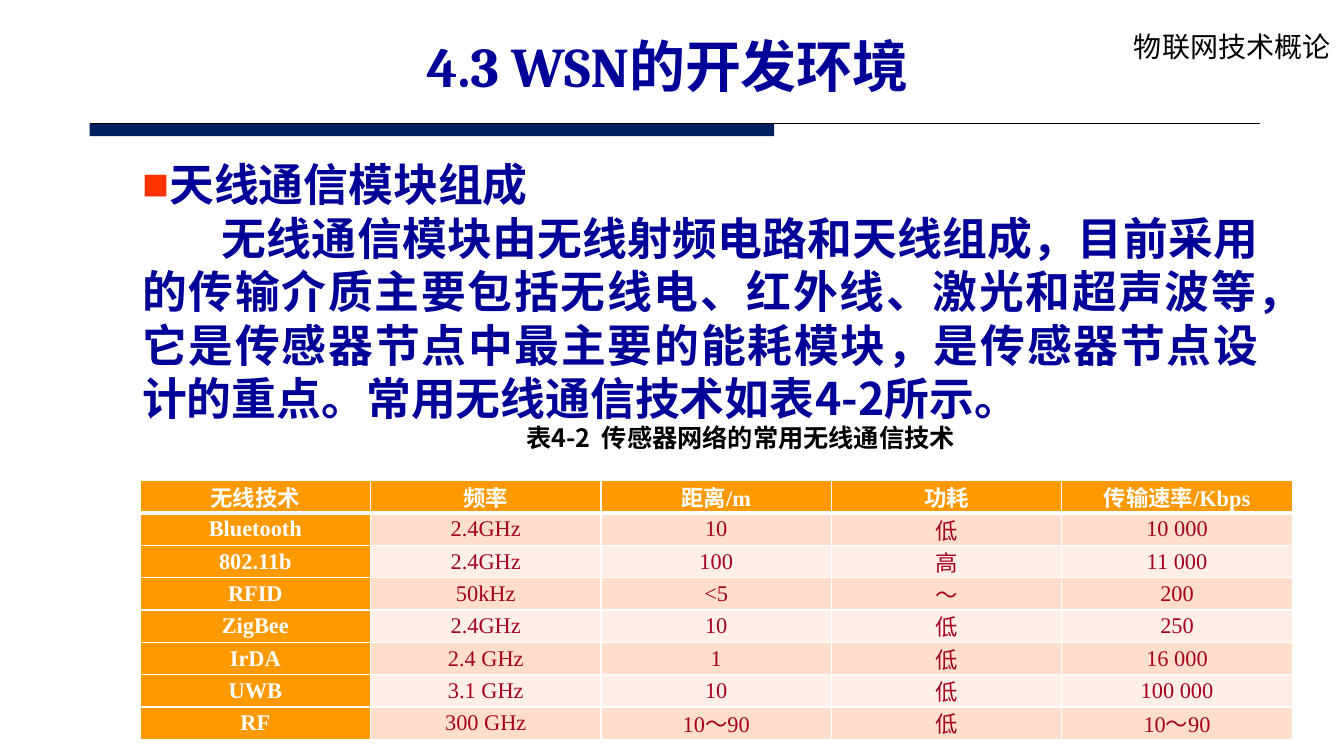
from dataclasses import dataclass
from typing import Any

from lxml.etree import SubElement, fromstring
from pptx import Presentation
from pptx.dml.color import RGBColor
from pptx.enum.shapes import MSO_CONNECTOR as Connector, MSO_SHAPE as Shape
from pptx.enum.text import MSO_ANCHOR as Anchor, MSO_AUTO_SIZE as AutoSize, PP_ALIGN as Align
from pptx.oxml.ns import nsdecls, qn
from pptx.util import Inches, Length, Pt

CJK, SERIF, TITLE_FONT = "Noto Sans CJK SC", "Times New Roman", "Cambria"
NAVY, BLACK, WHITE, ORANGE, WINE = "000099", "000000", "FFFFFF", "FF9900", "A50021"
BANDS = ("FFDECC", "FFEFE7")
CELLS_PER_INCH = 10
SLIDE_COLUMNS, SLIDE_ROWS = 133.33, 75


@dataclass(frozen=True)
class Region:
    """A box in grid columns and rows."""
    left: float
    top: float
    width: float
    height: float

    def lengths(self) -> tuple[Length, ...]:
        """Return left, top, width and height as slide lengths."""
        return tuple(map(grid, (self.left, self.top, self.width, self.height)))


@dataclass(frozen=True)
class Style:
    """The look of one paragraph."""
    font: str
    size: float
    color: str
    bold: bool = True
    align: Align = Align.CENTER
    leading: float | None = None
    margin: float = 0
    indent: float = 0
    bullet: str = ""


@dataclass(frozen=True)
class Block:
    """A paragraph's wording and style."""
    text: str
    style: Style


TITLE_AREA = Region(18.6, 3.6, 95.3, 7.1)
BODY_AREA = Region(9.2, 14.7, 116.7, 54.3)
COURSE_AREA = Region(109.7, 2.9, 23.6, 4.7)
BAR_AREA = Region(8.9, 12.3, 67.9, 1.2)
TABLE_AREA = Region(13.9, 47.7, 114.3, 24)
RULE_END = 125

TITLE = Block("4.3 WSN的开发环境", Style(TITLE_FONT, 40, NAVY, leading=38))
COURSE = Block("物联网技术概论", Style("Noto Sans CJK JP", 20, BLACK, False, Align.LEFT))
BODY = (
    Block("天线通信模块组成", Style(CJK, 32, NAVY, True, Align.JUSTIFY, 38.2, 3.9, 0, "■")),
    Block("无线通信模块由无线射频电路和天线组成，目前采用的传输介质主要包括无线电、红外线、激光和超声波等，"
          "它是传感器节点中最主要的能耗模块，是传感器节点设计的重点。常用无线通信技术如表4-2所示。",
          Style(CJK, 32, NAVY, True, Align.JUSTIFY, 38.2, 3.9, 7.9)),
    Block("表4-2  传感器网络的常用无线通信技术",
          Style(CJK, 18, BLACK, True, Align.CENTER, 20, 3.9, 7.9)),
)
HEADING_CELL = Style(SERIF, 16, WHITE)
VALUE_CELL = Style(SERIF, 16, WINE, False)
RADIO_ROWS = (
    ("无线技术", "频率", "距离/m", "功耗", "传输速率/Kbps"),
    ("Bluetooth", "2.4GHz", "10", "低", "10 000"),
    ("802.11b", "2.4GHz", "100", "高", "11 000"),
    ("RFID", "50kHz", "<5", "～", "200"),
    ("ZigBee", "2.4GHz", "10", "低", "250"),
    ("IrDA", "2.4 GHz", "1", "低", "16 000"),
    ("UWB", "3.1 GHz", "10", "低", "100 000"),
    ("RF", "300 GHz", "10～90", "低", "10～90"),
)


def grid(cells: float) -> Length:
    """Turn grid cells into a length."""
    return Inches(cells / CELLS_PER_INCH)


def paint(target: Any, color: str) -> None:
    """Give a fill or a font a solid colour."""
    if hasattr(target, "solid"):
        target.solid()
        target.fore_color.rgb = RGBColor.from_string(color)
    else:
        target.color.rgb = RGBColor.from_string(color)


def apply(target: Any, values: dict[str, Any]) -> None:
    """Set every attribute named in the values."""
    for name, value in values.items():
        setattr(target, name, value)


def write_paragraph(para: Any, block: Block) -> None:
    """Write one styled paragraph."""
    style = block.style
    properties = para._p.get_or_add_pPr()
    properties.set("marL", str(grid(style.margin)))
    properties.set("indent", str(grid(style.indent)))
    if style.bullet:
        color = SubElement(properties, qn("a:buClr"))
        SubElement(color, qn("a:srgbClr"), val="FF3300")
        SubElement(properties, qn("a:buChar"), char=style.bullet)
    else:
        SubElement(properties, qn("a:buNone"))
    apply(para, {"alignment": style.align, "space_before": Pt(0), "space_after": Pt(0),
                 "line_spacing": Pt(style.leading) if style.leading else 1.0})
    span = para.add_run()
    span.text = block.text
    apply(span.font, {"name": style.font, "size": Pt(style.size), "bold": style.bold})
    paint(span.font, style.color)
    east_asian = style.font if "CJK" in style.font else CJK
    SubElement(span._r.get_or_add_rPr(), qn("a:ea"), typeface=east_asian)


def fill_box(box: Any, area: Region, blocks: tuple[Block, ...], frame: dict[str, Any]) -> None:
    """Place a text shape and write its paragraphs."""
    apply(box, dict(zip(("left", "top", "width", "height"), area.lengths())))
    apply(box.text_frame, {"word_wrap": True, "auto_size": AutoSize.NONE} | frame)
    for index, block in enumerate(blocks):
        para = box.text_frame.add_paragraph() if index else box.text_frame.paragraphs[0]
        write_paragraph(para, block)


def draw_rule(page: Any) -> None:
    """Draw the thick bar and thin line under the title."""
    bar = page.shapes.add_shape(Shape.RECTANGLE, *BAR_AREA.lengths())
    bar.shadow.inherit = False
    paint(bar.fill, "002060")
    bar.line.fill.background()
    top = grid(BAR_AREA.top)
    line = page.shapes.add_connector(Connector.STRAIGHT, grid(BAR_AREA.left), top, grid(RULE_END), top)
    paint(line.line.fill, BLACK)
    line.line.width = Pt(0.75)
    SubElement(line._element.spPr, qn("a:effectLst"))


def draw_borders(cell: Any, widths: dict[str, float]) -> None:
    """Draw white cell borders of the given widths."""
    properties = cell._tc.get_or_add_tcPr()
    for index, (side, width) in enumerate(widths.items()):
        properties.insert(index, fromstring(
            f'<a:{side} {nsdecls("a")} w="{Pt(width)}"><a:solidFill>'
            f'<a:srgbClr val="{WHITE}"/></a:solidFill></a:{side}>'))


def draw_table(page: Any) -> None:
    """Draw the table of radio technologies."""
    row_count, column_count = len(RADIO_ROWS), len(RADIO_ROWS[0])
    table = page.shapes.add_table(row_count, column_count, *TABLE_AREA.lengths()).table
    for row, texts in enumerate(RADIO_ROWS):
        for column, text in enumerate(texts):
            cell = table.cell(row, column)
            heading = row == 0 or column == 0
            apply(cell, {"vertical_anchor": Anchor.MIDDLE, "margin_left": grid(0.7),
                         "margin_right": grid(0.7), "margin_top": 0, "margin_bottom": 0})
            write_paragraph(cell.text_frame.paragraphs[0],
                            Block(text, HEADING_CELL if heading else VALUE_CELL))
            paint(cell.fill, ORANGE if heading else BANDS[(row - 1) % 2])
            draw_borders(cell, {"lnL": 1, "lnR": 1, "lnT": 3 if row == 1 else 1,
                                "lnB": 3 if row == 0 else 1})


def main() -> None:
    """Build and save the slide."""
    deck = Presentation()
    apply(deck, {"slide_width": grid(SLIDE_COLUMNS), "slide_height": grid(SLIDE_ROWS)})
    page = deck.slides.add_slide(deck.slide_layouts[1])
    draw_rule(page)
    course_box = page.shapes.add_textbox(*COURSE_AREA.lengths())
    fill_box(course_box, COURSE_AREA, (COURSE,), {"margin_left": grid(2.8), "margin_top": 0})
    fill_box(page.placeholders[1], BODY_AREA, BODY,
             {"vertical_anchor": Anchor.TOP, "margin_top": grid(0.9)})
    fill_box(page.shapes.title, TITLE_AREA, (TITLE,), {"vertical_anchor": Anchor.MIDDLE})
    draw_table(page)
    deck.save("out.pptx")


if __name__ == "__main__":
    main()
